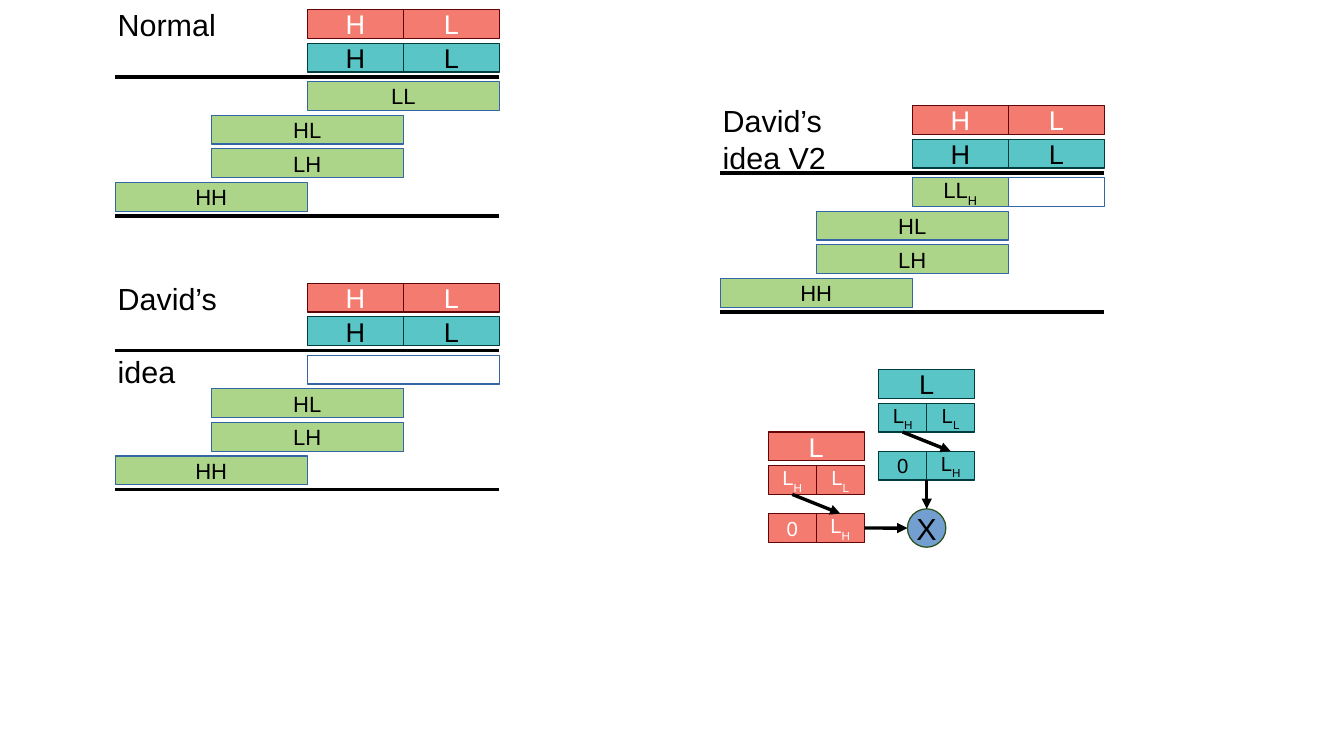
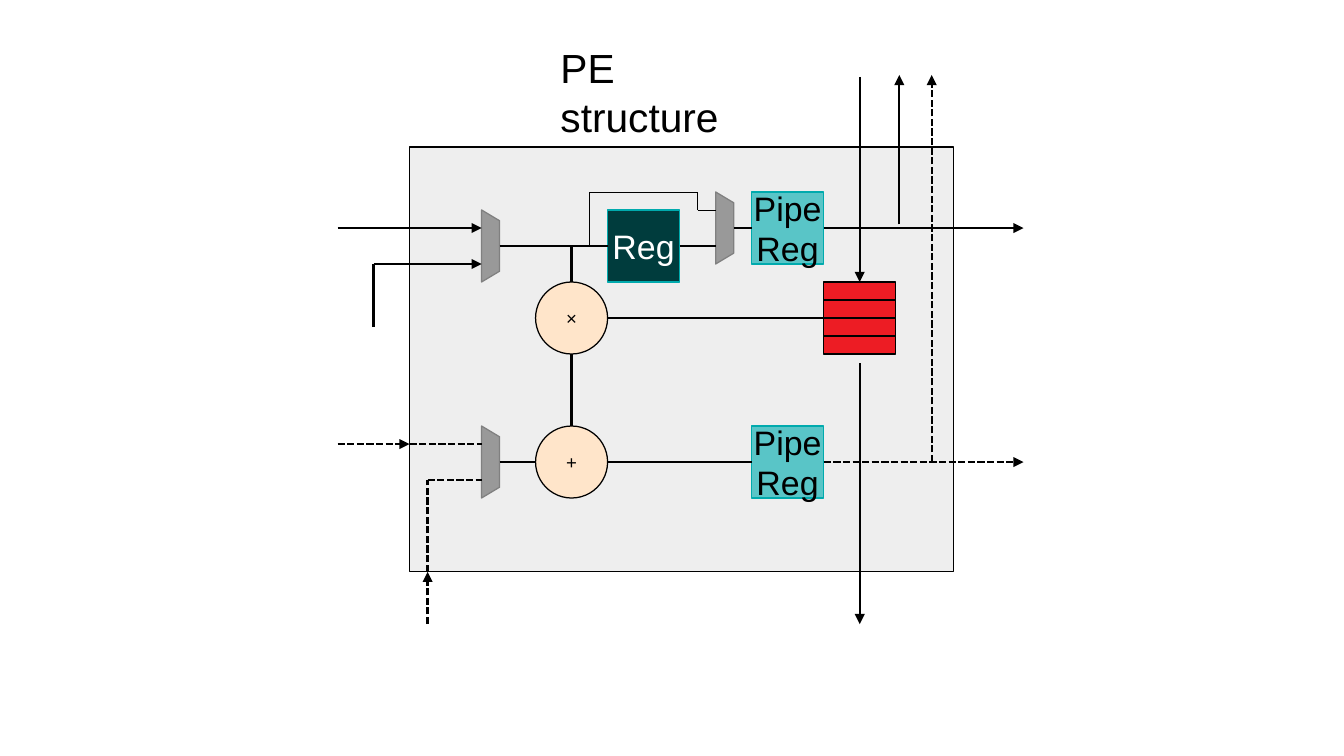
from dataclasses import dataclass

from lxml import etree
from pptx import Presentation
from pptx.dml.color import RGBColor
from pptx.enum.dml import MSO_LINE
from pptx.enum.shapes import MSO_CONNECTOR, MSO_SHAPE
from pptx.enum.text import MSO_ANCHOR, PP_ALIGN
from pptx.oxml.ns import qn
from pptx.util import Cm, Inches, Pt

RECT, OVAL = MSO_SHAPE.RECTANGLE, MSO_SHAPE.OVAL
STRAIGHT = MSO_CONNECTOR.STRAIGHT
DASH = MSO_LINE.SQUARE_DOT
LEFT, CENTER = PP_ALIGN.LEFT, PP_ALIGN.CENTER
TOP, MIDDLE = MSO_ANCHOR.TOP, MSO_ANCHOR.MIDDLE

BLACK = RGBColor(0x00, 0x00, 0x00)
WHITE = RGBColor(0xFF, 0xFF, 0xFF)
CORAL = RGBColor(0xF3, 0x7B, 0x70)
MAROON = RGBColor(0x61, 0x05, 0x06)
TEAL = RGBColor(0x59, 0xC5, 0xC7)
DEEP = RGBColor(0x00, 0x3C, 0x3D)
AQUA = RGBColor(0x00, 0xAA, 0xAD)
GREEN = RGBColor(0xAD, 0xD5, 0x8A)
FOREST = RGBColor(0x2B, 0x51, 0x1A)
BLUE = RGBColor(0x34, 0x65, 0xA4)
SKY = RGBColor(0x72, 0x9F, 0xCF)
PALE = RGBColor(0xEE, 0xEE, 0xEE)
GRAY = RGBColor(0x99, 0x99, 0x99)
SLATE = RGBColor(0x80, 0x80, 0x80)
PEACH = RGBColor(0xFF, 0xE5, 0xCA)
RED = RGBColor(0xED, 0x1C, 0x24)

FONT = "Arial"
BOLD, THIN, HAIR = 1.42, 0.5, 0

# Looks: fill, line, text colour
RED_IN = (CORAL, MAROON, WHITE)
TEAL_IN = (TEAL, DEEP, BLACK)
PART = (GREEN, BLUE, BLACK)
EMPTY = (None, BLUE, BLACK)
PIPE = (TEAL, AQUA, BLACK)
STORE = (DEEP, AQUA, WHITE)
MATH = (PEACH, BLACK, BLACK)
MUX = (GRAY, SLATE, BLACK)
BANK = (RED, BLACK, BLACK)
PANEL = (PALE, BLACK, BLACK)
TIMES = (SKY, FOREST, BLACK)


def write(frame, text, size, color=BLACK, align=LEFT, anchor=TOP, sub=""):
    """Fill a text frame; sub is a trailing subscript."""
    frame.word_wrap = False
    frame.vertical_anchor = anchor
    para = frame.paragraphs[0]
    para.text = text
    para.alignment = align
    if sub:
        low = para.add_run()
        low.text = sub
        low._r.get_or_add_rPr().set("baseline", "-33000")
    for run in para.runs:
        run.font.name = FONT
        run.font.size = Pt(size)
        run.font.color.rgb = color


def paint(shape, look):
    fill, edge, _ = look
    shape.shadow.inherit = False
    if fill is None:
        shape.fill.background()
    else:
        shape.fill.solid()
        shape.fill.fore_color.rgb = fill
    shape.line.color.rgb = edge
    shape.line.width = Pt(HAIR)


@dataclass
class Grid:
    """Columns and rows of one pitch, measured in cm from an origin."""
    shapes: object
    left: float
    top: float
    pitch: float = 1

    def spot(self, col, row):
        return (Cm(self.left + col * self.pitch),
                Cm(self.top + row * self.pitch))

    def area(self, col, row, wide, high):
        return (*self.spot(col, row),
                Cm(wide * self.pitch), Cm(high * self.pitch))

    def box(self, col, row, wide, high, look, text="", size=16, sub="",
            kind=RECT):
        shape = self.shapes.add_shape(kind, *self.area(col, row, wide, high))
        paint(shape, look)
        if text:
            write(shape.text_frame, text, size, look[2], CENTER, MIDDLE, sub)
        return shape

    def label(self, col, row, wide, high, text, size):
        area = self.area(col, row, wide, high)
        write(self.shapes.add_textbox(*area).text_frame, text, size)

    def wire(self, *points, width=BOLD, head=False, dash=False,
             start=None, end=None):
        """Straight runs through points; start and end are (shape, side)."""
        runs = []
        for a, b in zip(points, points[1:]):
            run = self.shapes.add_connector(
                STRAIGHT, *self.spot(*a), *self.spot(*b))
            run.line.color.rgb = BLACK
            run.line.width = Pt(width)
            if dash:
                run.line.dash_style = DASH
            etree.SubElement(run._element.spPr, qn("a:effectLst"))
            runs.append(run)
        if head:
            line = runs[-1].line._get_or_add_ln()
            etree.SubElement(line, qn("a:tailEnd"), type="triangle")
        if start:
            runs[0].begin_connect(*start)
        if end:
            runs[-1].end_connect(*end)

    def mux(self, col, row):
        pts = [(0, 0), (1, 0.6), (1, 3.4), (0, 4)]
        first, *rest = [self.spot(col + x, row + y) for x, y in pts]
        path = self.shapes.build_freeform(*first)
        path.add_line_segments(rest, close=True)
        paint(path.convert_to_shape(), MUX)


# Slide 1: partial products
HIGH = 0.6   # box height
STEP = 0.7   # row pitch


def product(grid, name, wide, low):
    """One long multiplication; low draws its lowest partial product."""
    for i, look in enumerate((RED_IN, TEAL_IN)):
        for j, digit in enumerate("HL"):
            grid.box(4 + 2 * j, i * STEP, 2, HIGH, look, digit)
    low(grid, 2 * STEP + 0.1)
    for i, (text, col) in enumerate((("HL", 2), ("LH", 2), ("HH", 0))):
        grid.box(col, 2.2 + i * STEP, 4, HIGH, PART, text, 13)
    for row in (1.4, 4.3):
        grid.wire((8, row), (0, row), width=HAIR)
    high = 0.95 + 0.72 * name.count("\n")
    grid.label(-0.2, -0.2, wide, high, name, 18)


def full(grid, row):
    grid.box(4, row, 4, HIGH, PART, "LL", 13)


def blank(grid, row):
    grid.box(4, row, 4, HIGH, EMPTY)


def half(grid, row):
    grid.box(6, row, 2, HIGH, EMPTY)
    grid.box(4, row, 2, HIGH, PART, "LL", 13, "H")


def split(grid, look):
    """Split L into halves and shift the high one down; return it."""
    grid.box(0, 0, 2, HIGH, look, "L")
    high = grid.box(0, STEP, 1, HIGH, look, "L", 12, "H")
    grid.box(1, STEP, 1, HIGH, look, "L", 12, "L")
    grid.box(0, 1.7, 1, HIGH, look, "0", 12)
    moved = grid.box(1, 1.7, 1, HIGH, look, "L", 12, "H")
    grid.wire((0.5, 1.3), (1.5, 1.7), width=HAIR, head=True,
              start=(high, 2), end=(moved, 0))
    return moved


def products(shapes):
    product(Grid(shapes, 2.4, 0.2), "Normal", 2.55, full)
    product(Grid(shapes, 2.4, 5.9), "David’s\nidea", 2.57, blank)
    product(Grid(shapes, 15, 2.2), "David’s\nidea V2", 2.67, half)

    # Shortened low product
    teal, red = Grid(shapes, 18.3, 7.7), Grid(shapes, 16, 9)
    teal.box(0.6, 2.9, 0.8, 0.8, TIMES, "X", 18, kind=OVAL)
    split(teal, TEAL_IN)
    moved = split(red, RED_IN)
    teal.wire((1, 2.3), (1, 2.9), width=HAIR, head=True)
    red.wire((2, 2), (2.9, 2), width=HAIR, head=True, start=(moved, 3))


# Slide 2: processing element
def element(slide):
    grid = Grid(slide.shapes, 10.03, 4, 0.375)
    title = slide.shapes.title
    title.left, title.top, title.width, title.height = grid.area(
        3.7, -8.6, 13.75, 3.2)
    write(title.text_frame, "PE structure", 24)

    # Blocks
    grid.box(-4, -2.5, 30.2, 23.6, PANEL)
    for col, row in ((0, 1), (13, 0), (0, 13)):
        grid.mux(col, row)
    reg = grid.box(7, 1, 4, 4, STORE, "Reg", 20)
    upper, lower = [grid.box(15, row, 4, 4, PIPE, "Pipe\nReg", 20)
                    for row in (0, 13)]
    bank = [grid.box(19, 5 + i, 4, 1, BANK) for i in range(4)]

    # Upper data path
    grid.wire((-8, 2), (0, 2), head=True)
    grid.wire((-6, 7.5), (-6, 4), (0, 4), head=True)
    grid.wire((1, 3), (7, 3), end=(reg, 1))
    grid.wire((11, 3), (13, 3), start=(reg, 3))
    grid.wire((6, 3), (6, 0), (12, 0), (12, 1), (13, 1), width=THIN)
    grid.wire((14, 2), (15, 2), end=(upper, 1))
    grid.wire((19, 2), (30.1, 2), head=True, start=(upper, 3))
    grid.wire((23.2, 1.8), (23.2, -6.5), head=True)

    # Weight bank
    grid.wire((21, -6.4), (21, 5), head=True, end=(bank[0], 0))
    grid.wire((21, 9.5), (21, 24), head=True)
    grid.wire((7, 7), (19, 7))

    # Partial sums
    grid.wire((5, 3), (5, 15))
    grid.wire((1, 15), (15, 15), end=(lower, 1))
    grid.wire((19, 15), (30.1, 15), head=True, dash=True, start=(lower, 3))
    grid.wire((25, 15), (25, -6.5), head=True, dash=True)
    grid.wire((-8, 14), (-4, 14), head=True, dash=True)
    grid.wire((-4, 14), (0, 14), dash=True)
    grid.wire((-3, 24), (-3, 21.1), head=True, dash=True)
    grid.wire((-3, 21.1), (-3, 16), (0, 16), dash=True)

    # Operators lie over the wires
    for row, sign in ((5, "×"), (13, "+")):
        grid.box(3, row, 4, 4, MATH, sign, 11, kind=OVAL)


def main():
    deck = Presentation()
    deck.slide_width, deck.slide_height = Inches(11.02), Inches(6.2)
    titled, plain = deck.slide_layouts[5], deck.slide_layouts[6]
    products(deck.slides.add_slide(plain).shapes)
    element(deck.slides.add_slide(titled))
    deck.save("out.pptx")


if __name__ == "__main__":
    main()
